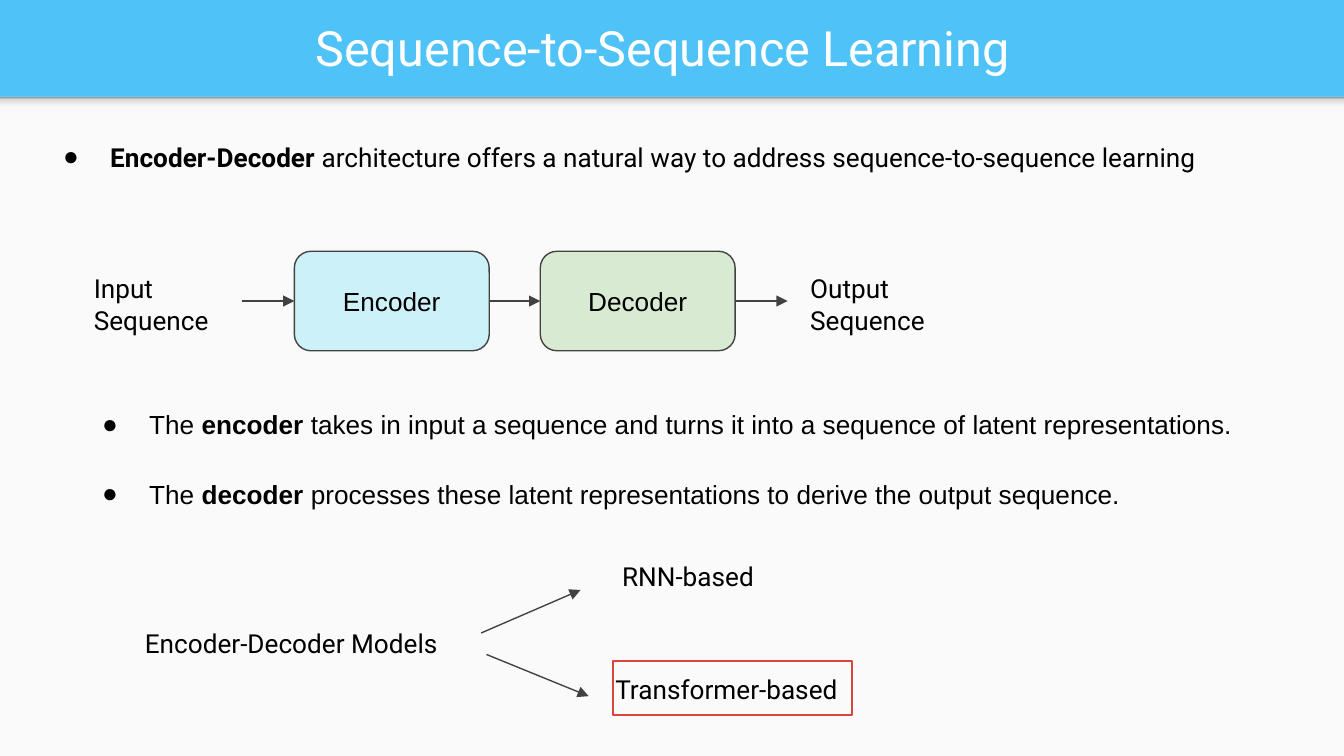
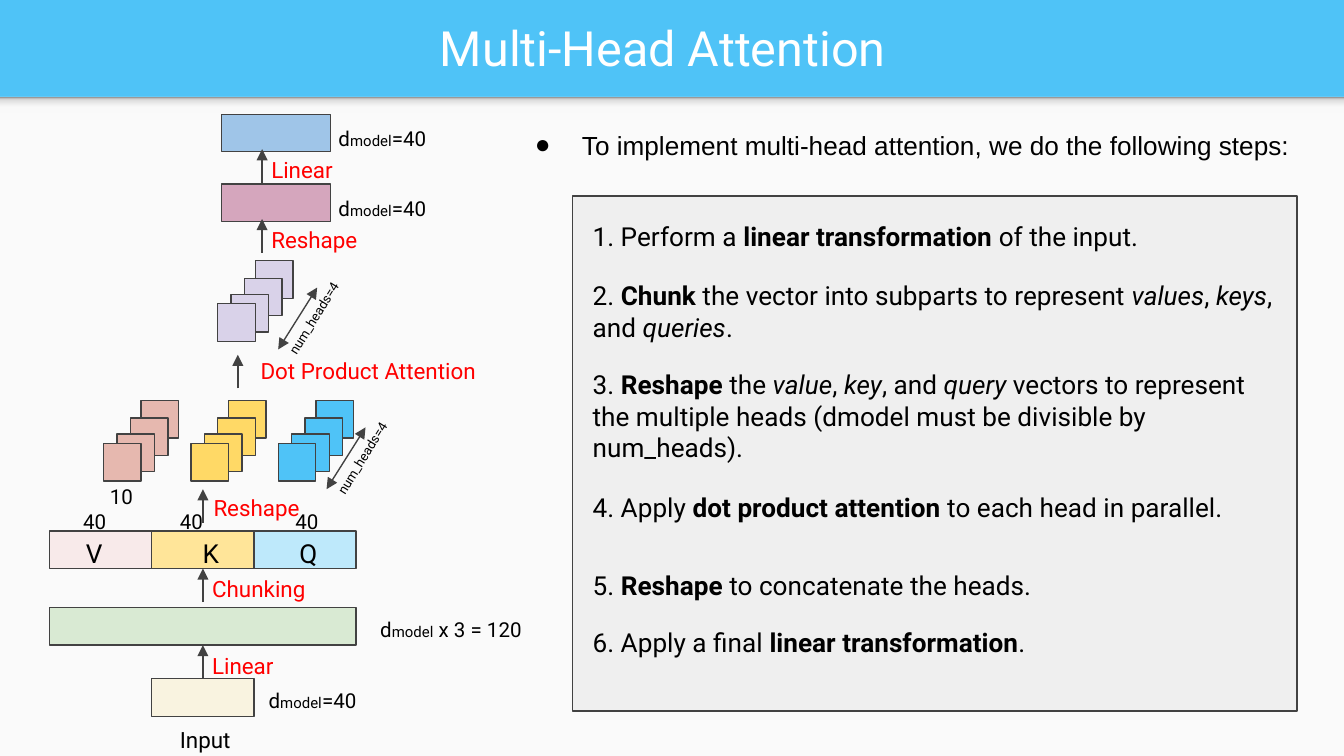
import dataclasses
import typing

import lxml.etree
import pptx
import pptx.dml.color
import pptx.enum.dml
import pptx.enum.shapes
import pptx.enum.text
import pptx.oxml.ns
import pptx.util

SHAPE = pptx.enum.shapes.MSO_SHAPE
ANCHOR = pptx.enum.text.MSO_ANCHOR
TOP, LEFT, BOTTOM, RIGHT = range(4)


@dataclasses.dataclass(frozen=True)
class Theme:
    band: str = "4FC3F7"
    page: str = "FAFAFA"
    panel: str = "EFEFEF"
    ink: str = "000000"
    line: str = "424242"
    white: str = "FFFFFF"
    step: str = "FF0000"
    highlight: str = "DB4437"
    encoder: str = "29D2F5"
    green: str = "D9EAD3"
    shadow: tuple[tuple[int, str], ...] = (
        (0, "F9F9F9"), (36, "F9F9F9"), (80, "DEDEDE"), (100, "999999"))
    roboto: str = "Roboto"
    arial: str = "Arial"
    title_pt: float = 26
    body_pt: float = 14
    step_pt: float = 12
    label_pt: float = 11
    subscript_pt: float = 8
    heads_pt: float = 7
    line_pt: float = 0.75


THEME = Theme()


class Box(typing.NamedTuple):
    left: int
    top: int
    width: int
    height: int


class Span(typing.NamedTuple):
    text: str
    bold: bool = False
    italic: bool = False
    size: float | None = None


class Style(typing.NamedTuple):
    size: float = THEME.body_pt
    font: str = THEME.roboto
    colour: str = THEME.ink
    centred: bool = False
    bullet: bool = False


class Block(typing.NamedTuple):
    box: Box
    fill: str | None
    opacity: int = 100
    line: str = THEME.line
    kind: SHAPE = SHAPE.RECTANGLE


class Label(typing.NamedTuple):
    box: Box
    text: str
    style: Style = Style()


Line = list[Span]
PLAIN = Style()
ARIAL = Style(font=THEME.arial)
ARIAL_BULLET = ARIAL._replace(bullet=True)
STEP = Style(THEME.step_pt, colour=THEME.step)
SMALL = Style(THEME.label_pt)


def px(length: float) -> pptx.util.Emu:
    """100 px make one inch."""
    return pptx.util.Emu(int(length * 9144))


def rgb(colour: str) -> pptx.dml.color.RGBColor:
    return pptx.dml.color.RGBColor.from_string(colour)


def add_xml(parent, tag: str, **attributes: str):
    return lxml.etree.SubElement(parent, pptx.oxml.ns.qn(tag), attributes)


def bold(text: str) -> Span:
    return Span(text, bold=True)


def italic(text: str) -> Span:
    return Span(text, italic=True)


# Text
def write(frame, lines: list[Line], style: Style, gaps: typing.Sequence[float] = (),
          anchor: ANCHOR = ANCHOR.TOP) -> None:
    frame.word_wrap = True
    frame.auto_size = pptx.enum.text.MSO_AUTO_SIZE.NONE
    frame.vertical_anchor = anchor
    frame.margin_left = frame.margin_right = frame.margin_top = frame.margin_bottom = px(10)
    frame.text = "\n".join("" for _ in lines)
    for index, (paragraph, spans) in enumerate(zip(frame.paragraphs, lines)):
        properties = paragraph._p.get_or_add_pPr()
        properties.set("marL", str(px(50 if style.bullet else 0)))
        properties.set("indent", str(px(-35 if style.bullet else 0)))
        if style.bullet:
            add_xml(add_xml(properties, "a:buClr"), "a:srgbClr", val=THEME.ink)
            add_xml(properties, "a:buChar", char="●")
        else:
            add_xml(properties, "a:buNone")
        paragraph.alignment = (pptx.enum.text.PP_ALIGN.CENTER if style.centred
                               else pptx.enum.text.PP_ALIGN.LEFT)
        paragraph.space_before = pptx.util.Pt(gaps[index - 1] if index and gaps else 0)
        for span in spans:
            run = paragraph.add_run()
            run.text = span.text
            run.font.name = style.font
            run.font.size = pptx.util.Pt(span.size or style.size)
            run.font.color.rgb = rgb(style.colour)
            run.font.bold, run.font.italic = span.bold, span.italic


def add_text(slide, box: Box, lines: list[Line], style: Style = PLAIN):
    text_box = slide.shapes.add_textbox(*map(px, box))
    write(text_box.text_frame, lines, style)
    return text_box


def add_label(slide, label: Label) -> None:
    add_text(slide, label.box, [[Span(line)] for line in label.text.split("\n")], label.style)


def fill_placeholder(slide, index: int, box: Box, lines: list[Line], style: Style,
                     gaps: typing.Sequence[float] = (), anchor: ANCHOR = ANCHOR.TOP) -> None:
    """Place a template placeholder in front of what is drawn so far."""
    holder = slide.placeholders[index]
    holder.element.getparent().append(holder.element)
    holder.left, holder.top, holder.width, holder.height = map(px, box)
    write(holder.text_frame, lines, style, gaps, anchor)


# Shapes and arrows
def add_block(slide, block: Block, text: str = ""):
    shape = slide.shapes.add_shape(block.kind, *map(px, block.box))
    shape.shadow.inherit = False
    if block.fill:
        shape.fill.solid()
        shape.fill.fore_color.rgb = rgb(block.fill)
        if block.opacity < 100:
            colour = shape.element.spPr.find(".//" + pptx.oxml.ns.qn("a:srgbClr"))
            add_xml(colour, "a:alpha", val=str(block.opacity * 1000))
    else:
        shape.fill.background()
    shape.line.color.rgb = rgb(block.line)
    shape.line.width = pptx.util.Pt(THEME.line_pt)
    if text:
        write(shape.text_frame, [[Span(text)]], ARIAL._replace(centred=True),
              anchor=ANCHOR.MIDDLE)
    return shape


def add_arrow(slide, x1: int, y1: int, x2: int, y2: int, source=None, target=None,
              sides: tuple[int, int] = (RIGHT, LEFT), double: bool = False) -> None:
    arrow = slide.shapes.add_connector(
        pptx.enum.shapes.MSO_CONNECTOR.STRAIGHT, *map(px, (x1, y1, x2, y2)))
    if source is not None:
        arrow.begin_connect(source, sides[0])
    if target is not None:
        arrow.end_connect(target, sides[1])
    arrow.line.color.rgb = rgb(THEME.line)
    arrow.line.width = pptx.util.Pt(THEME.line_pt)
    outline = arrow.element.spPr.find(pptx.oxml.ns.qn("a:ln"))
    if double:
        add_xml(outline, "a:headEnd", type="triangle")
    add_xml(outline, "a:tailEnd", type="triangle")
    add_xml(arrow.element.spPr, "a:effectLst")


# Shared page: blue title band, light page, shadow below the band
def add_page(deck, title: str):
    slide = deck.slides.add_slide(deck.slide_layouts.get_by_name("Two Content"))
    page = add_block(slide, Block(Box(0, 72, 1000, 491), THEME.page))
    shadow = add_block(slide, Block(Box(0, 72, 1000, 12), THEME.page))
    for part in (page, shadow):
        part.line.fill.background()
    shadow.fill.gradient()
    shadow.fill.gradient_angle = 90
    stops = shadow.element.spPr.find(".//" + pptx.oxml.ns.qn("a:gsLst"))
    stops.clear()
    for position, colour in THEME.shadow:
        stop = add_xml(stops, "a:gs", pos=str(position * 1000))
        add_xml(stop, "a:srgbClr", val=colour)
    fill_placeholder(slide, 0, Box(11, 2, 965, 66), [[Span(title)]],
                     Style(THEME.title_pt, colour=THEME.white, centred=True),
                     anchor=ANCHOR.MIDDLE)
    return slide


def build_sequence_learning(deck) -> None:
    slide = add_page(deck, "Sequence-to-Sequence Learning")
    fill_placeholder(slide, 1, Box(22, 95, 942, 44), [[
        bold("Encoder-Decoder"),
        Span(" architecture offers a natural way to address sequence-to-sequence learning"),
    ]], Style(bullet=True))

    # Encoder to decoder flow
    encoder = add_block(slide, Block(Box(219, 187, 145, 74), THEME.encoder, 21,
                                     kind=SHAPE.ROUNDED_RECTANGLE), "Encoder")
    decoder = add_block(slide, Block(Box(402, 187, 145, 74), THEME.green,
                                     kind=SHAPE.ROUNDED_RECTANGLE), "Decoder")
    add_arrow(slide, 180, 224, 219, 224, target=encoder)
    add_arrow(slide, 364, 224, 402, 224, encoder, decoder)
    add_arrow(slide, 547, 224, 586, 224, source=decoder)

    fill_placeholder(slide, 2, Box(51, 294, 914, 95), [
        [Span("The "), bold("encoder"), Span(" takes in input a sequence and turns it into "
                                             "a sequence of latent representations.")],
        [Span("The "), bold("decoder"), Span(" processes these latent representations "
                                             "to derive the output sequence.")],
    ], ARIAL_BULLET, gaps=[20.5])

    # Model families
    add_arrow(slide, 358, 471, 432, 439)
    add_arrow(slide, 362, 487, 438, 518)
    for label in (
        Label(Box(60, 193, 113, 67), "Input\nSequence"),
        Label(Box(593, 193, 113, 67), "Output\nSequence"),
        Label(Box(98, 457, 260, 44), "Encoder-Decoder Models"),
        Label(Box(453, 407, 159, 44), "RNN-based"),
        Label(Box(448, 491, 199, 44), "Transformer-based"),
    ):
        add_label(slide, label)
    add_block(slide, Block(Box(456, 492, 178, 40), None, line=THEME.highlight))


def add_head_stack(slide, left: int, top: int, fill: str) -> None:
    for across, down in ((28, 0), (20, 13), (10, 25), (0, 32)):
        add_block(slide, Block(Box(left + across, top + down, 28, 28), fill))


def add_head_count(slide, left: int, top: int) -> None:
    count = add_text(slide, Box(left, top, 113, 32), [[Span("num_heads=4")]],
                     Style(THEME.heads_pt))
    count.text_frame.margin_left = px(17)
    count.rotation = 301.9
    add_arrow(slide, left + 25, top + 47, left + 54, top + 1, double=True)


def add_dimension(slide, left: int, top: int, width: int, value: str) -> None:
    add_text(slide, Box(left, top, width, 39),
             [[Span("d"), Span("model", size=THEME.subscript_pt), Span(value)]], SMALL)


def build_multi_head_attention(deck) -> None:
    slide = add_page(deck, "Multi-Head Attention")

    # Layers of the network, bottom to top
    model_input = add_block(slide, Block(Box(113, 505, 76, 28), "F8DB84", 22))
    projection = add_block(slide, Block(Box(37, 452, 228, 28), THEME.green))
    chunks = [add_block(slide, Block(Box(37 + 76 * column, 395, 76, 28), fill, opacity))
              for column, (fill, opacity) in enumerate(
                  (("F4CCCC", 33), ("FFE599", 100), ("00B6FF", 24)))]
    for left, top, fill in ((77, 298, "E6B8AF"), (142, 298, "FFD966"),
                            (207, 298, THEME.band), (162, 194, "D9D2E9")):
        add_head_stack(slide, left, top, fill)
    for top, fill in ((137, "D5A6BD"), (85, "9FC5E8")):
        add_block(slide, Block(Box(165, top, 81, 28), fill))

    # Flow between layers
    add_arrow(slide, 151, 505, 151, 480, model_input, projection, (TOP, BOTTOM))
    add_arrow(slide, 151, 448, 151, 423, target=chunks[1], sides=(TOP, BOTTOM))
    for x, y in ((151, 389), (177, 289), (195, 188), (195, 136)):
        add_arrow(slide, x, y, x, y - 25)

    # Operations, chunk names and sizes
    for left, top, width, operation in (
        (148, 475, 76, "Linear"), (148, 418, 98, "Chunking"), (149, 358, 92, "Reshape"),
        (184, 256, 219, "Dot Product Attention"), (192, 158, 98, "Reshape"),
        (192, 106, 98, "Linear"),
    ):
        add_label(slide, Label(Box(left, top, width, 40), operation, STEP))
    for name, name_left, size_left in (("V", 54, 52), ("K", 141, 124), ("Q", 213, 210)):
        add_label(slide, Label(Box(name_left, 390, 59, 44), name))
        add_label(slide, Label(Box(size_left, 369, 60, 39), "40", SMALL))
    add_label(slide, Label(Box(72, 350, 43, 39), "10", SMALL))
    add_label(slide, Label(Box(124, 530, 92, 40), "Input", Style(THEME.step_pt)))
    for left, top, width, value in ((190, 502, 111, "=40"), (273, 449, 129, " x 3 = 120"),
                                    (242, 136, 111, "=40"), (242, 84, 111, "=40")):
        add_dimension(slide, left, top, width, value)
    add_head_count(slide, 218, 317)
    add_head_count(slide, 182, 213)

    # Steps
    fill_placeholder(slide, 1, Box(373, 86, 612, 44), [[
        Span("To implement multi-head attention, we do the following steps:")]], ARIAL_BULLET)
    add_block(slide, Block(Box(426, 146, 539, 383), THEME.panel))
    fill_placeholder(slide, 2, Box(431, 154, 534, 346), [
        [Span("1. Perform a"), bold(" linear transformation"), Span(" of the input.")],
        [Span("2. "), bold("Chunk"), Span(" the vector into subparts to represent "),
         italic("values"), Span(", "), italic("keys"), Span(", and "), italic("queries"),
         Span(".")],
        [Span("3. "), bold("Reshape"), Span(" the "), italic("value"), Span(", "),
         italic("key"), Span(", and "), italic("query "),
         Span("vectors to represent the multiple heads "
              "(dmodel must be divisible by num_heads).")],
        [Span("4. Apply "), bold("dot product attention"), Span(" to each head in parallel.")],
        [Span("5. "), bold("Reshape"), Span(" to concatenate the heads.")],
        [Span("6. Apply a final "), bold("linear transformation"), Span(".")],
    ], PLAIN, gaps=[15, 14, 15.5, 25, 13.5])


def main() -> None:
    deck = pptx.Presentation()
    deck.slide_width, deck.slide_height = px(1000), px(562.5)
    backdrop = deck.slide_master.background.fill
    backdrop.solid()
    backdrop.fore_color.rgb = rgb(THEME.band)
    build_sequence_learning(deck)
    build_multi_head_attention(deck)
    deck.save("out.pptx")


if __name__ == "__main__":
    main()
